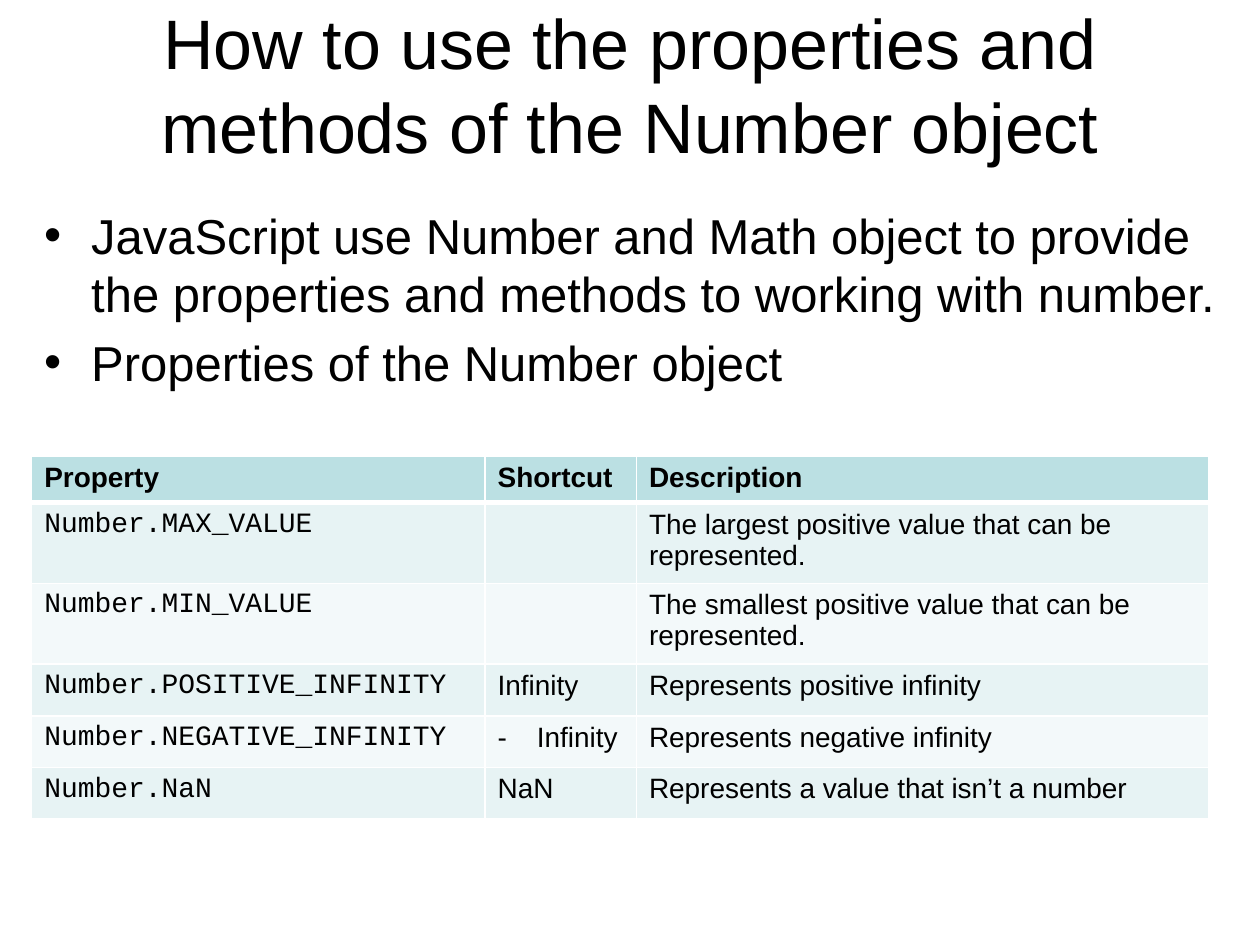
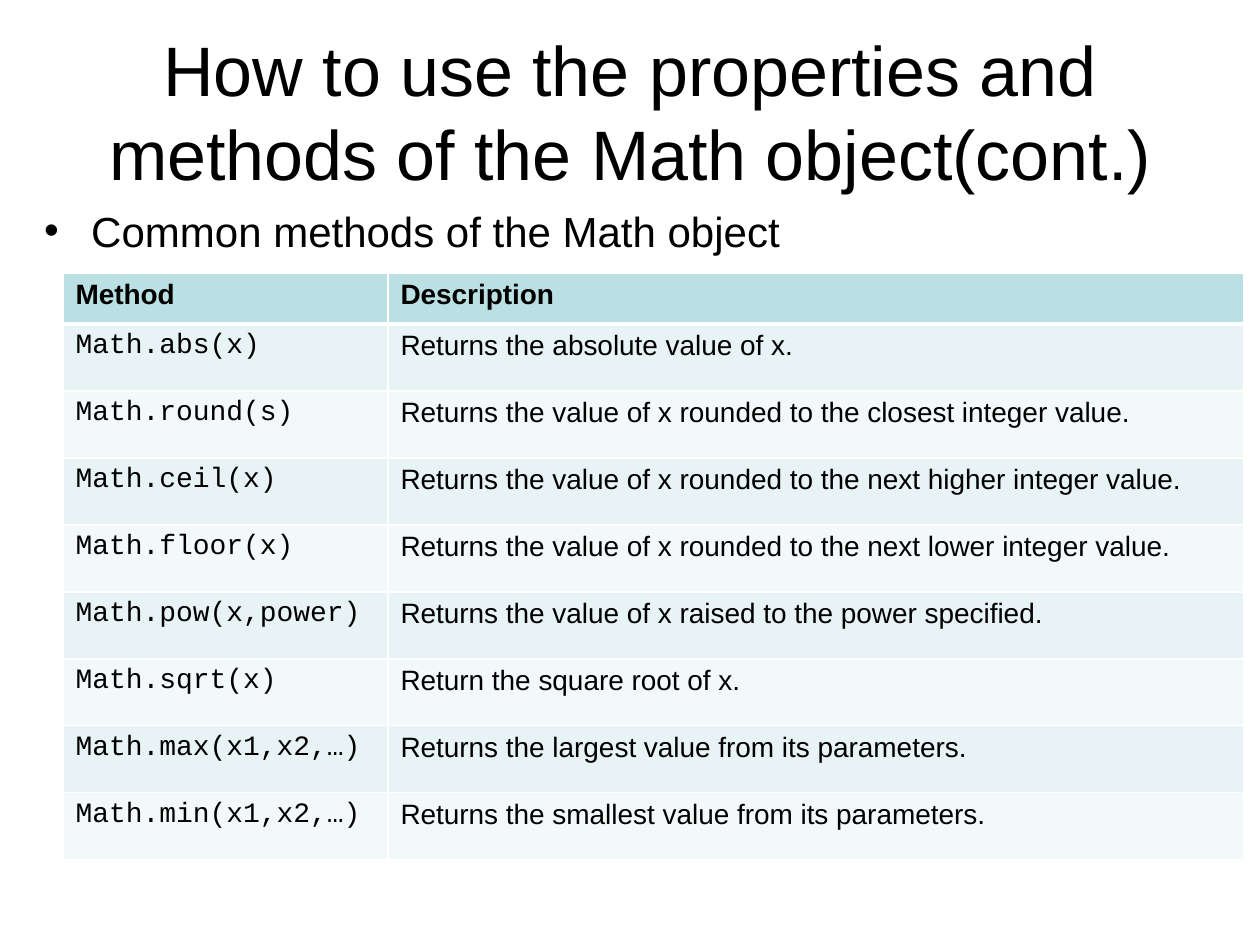
from lxml.etree import SubElement
from pptx import Presentation
from pptx.dml.color import RGBColor
from pptx.enum.text import MSO_ANCHOR as Anchor, MSO_AUTO_SIZE as AutoSize, PP_ALIGN as Align
from pptx.oxml.ns import qn
from pptx.util import Cm, Pt

BLACK, WHITE = "000000", "FFFFFF"
HEADER, BANDS = "BBE0E3", ("E7F3F4", "F3F9FA")
BODY_FONT, CODE_FONT = "Arial", "Courier New"
TITLE_LEFT, TITLE_WIDTH = 1.27, 22.86
BODY_LEFT, BODY_TOP, BODY_WIDTH = 0.64, 4.01, 24.33
THIN, THICK = 1, 3

PAGES = [
    {
        "title": "How to use the properties and methods of the Number object",
        "title_top": 0.2, "title_height": 2.97,
        "points": [
            "JavaScript use Number and Math object to provide the properties "
            "and methods to working with number.",
            "Properties of the Number object",
        ],
        "point_size": 28, "body_height": 12.5,
        "table_at": (0.64, 9.19),
        "columns": (9.14, 3.05, 11.53),
        "heights": (0.94, 1.63, 1.63, 1.04, 1.04, 1.04),
        "rows": [
            ("Property", "Shortcut", "Description"),
            ("Number.MAX_VALUE", "", "The largest positive value that can be represented."),
            ("Number.MIN_VALUE", "", "The smallest positive value that can be represented."),
            ("Number.POSITIVE_INFINITY", "Infinity", "Represents positive infinity"),
            ("Number.NEGATIVE_INFINITY", ("-", "Infinity"), "Represents negative infinity"),
            ("Number.NaN", "NaN", "Represents a value that isn’t a number"),
        ],
    },
    {
        "title": "How to use the properties and methods of the Math object(cont.)",
        "title_top": 0.64, "title_height": 3.18,
        "points": ["Common methods of the Math object"],
        "point_size": 24, "body_height": 13,
        "table_at": (1.27, 5.51),
        "columns": (6.55, 17.25),
        "heights": (1.02,) + (1.35,) * 8,
        "rows": [
            ("Method", "Description"),
            ("Math.abs(x)", "Returns the absolute value of x."),
            ("Math.round(s)", "Returns the value of x rounded to the closest integer value."),
            ("Math.ceil(x)", "Returns the value of x rounded to the next higher integer value."),
            ("Math.floor(x)", "Returns the value of x rounded to the next lower integer value."),
            ("Math.pow(x,power)", "Returns the value of x raised to the power specified."),
            ("Math.sqrt(x)", "Return the square root of x."),
            ("Math.max(x1,x2,…)", "Returns the largest value from its parameters."),
            ("Math.min(x1,x2,…)", "Returns the smallest value from its parameters."),
        ],
    },
]


def paint(fill, color):
    """Give a fill one solid colour."""
    fill.solid()
    fill.fore_color.rgb = RGBColor.from_string(color)


def write(para, text, size=16, font=BODY_FONT, bold=False, align=Align.LEFT,
          before=0, bullet=None, indent=0):
    """Put formatted text in a paragraph, with a hanging bullet if asked."""
    para.alignment = align
    para.space_before = Pt(before)
    if bullet:
        props = para._p.get_or_add_pPr()
        props.set("marL", str(Cm(indent)))
        props.set("indent", str(-Cm(indent)))
        color = SubElement(props, qn("a:buClr"))
        SubElement(color, qn("a:srgbClr"), val=BLACK)
        SubElement(props, qn("a:buFont"), typeface=BODY_FONT)
        SubElement(props, qn("a:buChar"), char=bullet)
    span = para.add_run()
    span.text = text
    span.font.size = Pt(size)
    span.font.name = font
    span.font.bold = bold
    span.font.color.rgb = RGBColor.from_string(BLACK)


def add_title(page, content):
    """Place the title placeholder and fill it."""
    title = page.shapes.title
    title.left, title.width = Cm(TITLE_LEFT), Cm(TITLE_WIDTH)
    title.top, title.height = Cm(content["title_top"]), Cm(content["title_height"])
    frame = title.text_frame
    frame.auto_size = AutoSize.NONE
    frame.vertical_anchor = Anchor.MIDDLE
    write(frame.paragraphs[0], content["title"], size=40, align=Align.CENTER)


def add_points(page, content):
    """Add the bulleted body text."""
    box = page.shapes.add_textbox(Cm(BODY_LEFT), Cm(BODY_TOP), Cm(BODY_WIDTH),
                                  Cm(content["body_height"]))
    paint(box.fill, WHITE)
    frame = box.text_frame
    frame.word_wrap = True
    for index, point in enumerate(content["points"]):
        para = frame.add_paragraph() if index else frame.paragraphs[0]
        write(para, point, size=content["point_size"], before=5.6 if index else 0,
              bullet="•", indent=0.95)


def add_borders(cell, top, bottom):
    """Draw white lines on the four sides of a cell."""
    props = cell._tc.get_or_add_tcPr()
    for side, width in (("L", THIN), ("R", THIN), ("T", top), ("B", bottom)):
        line = SubElement(props, qn(f"a:ln{side}"), w=str(Pt(width)))
        fill = SubElement(line, qn("a:solidFill"))
        SubElement(fill, qn("a:srgbClr"), val=WHITE)


def add_grid(page, content):
    """Add the table with a header row, banded rows and code in the first column."""
    rows, columns, heights = content["rows"], content["columns"], content["heights"]
    left, top = content["table_at"]
    table = page.shapes.add_table(len(rows), len(columns), Cm(left), Cm(top),
                                  Cm(sum(columns)), Cm(sum(heights))).table
    for column, width in zip(table.columns, columns):
        column.width = Cm(width)
    for r, (values, height) in enumerate(zip(rows, heights)):
        table.rows[r].height = Cm(height)
        for c, value in enumerate(values):
            cell = table.cell(r, c)
            add_borders(cell, THICK if r == 1 else THIN, THIN if r else THICK)
            paint(cell.fill, BANDS[(r - 1) % 2] if r else HEADER)
            bullet, text = value if isinstance(value, tuple) else (None, value)
            if text:
                write(cell.text_frame.paragraphs[0], text, bold=r == 0,
                      font=CODE_FONT if r and c == 0 else BODY_FONT,
                      bullet=bullet, indent=0.79)


def main():
    """Build the deck."""
    deck = Presentation()
    deck.slide_width, deck.slide_height = Cm(25.4), Cm(19.05)
    for content in PAGES:
        page = deck.slides.add_slide(deck.slide_layouts[5])
        add_points(page, content)
        add_title(page, content)
        add_grid(page, content)
    deck.save("out.pptx")


if __name__ == "__main__":
    main()
